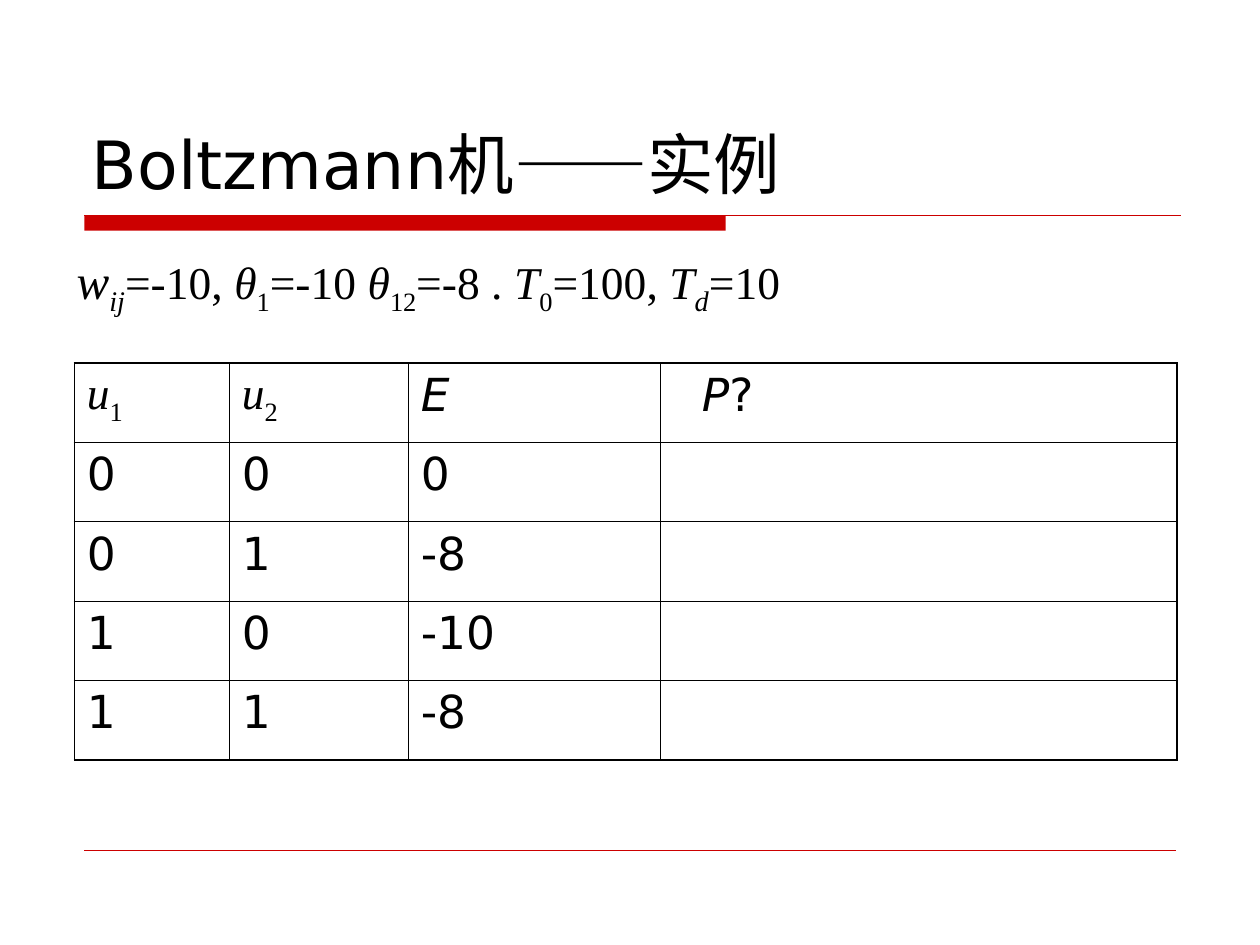
from lxml import etree
from pptx import Presentation
from pptx import util as u
from pptx.dml.color import RGBColor
from pptx.enum import shapes, text
from pptx.oxml.ns import qn

SANS, SERIF = "DejaVu Sans", "Times New Roman"
BLACK, RED = "000000", "CC0000"


def color(value):
    return RGBColor.from_string(value)


def add_runs(p, parts, font, size):
    """Add (text, style[, size]) parts; style holds "i" for italic and "_" for subscript."""
    for content, style, *own_size in parts:
        r = p.add_run()
        r.text = content
        r.font.name = font
        r.font.size = u.Pt(own_size[0] if own_size else size)
        r.font.italic = "i" in style
        r.font.color.rgb = color(BLACK)
        if "_" in style:
            r._r.get_or_add_rPr().set("baseline", "-25000")


def add_text(s, left, top, width, height, parts, font, size, anchor):
    box = s.shapes.add_textbox(u.Inches(left), u.Inches(top),
                               u.Inches(width), u.Inches(height))
    tf = box.text_frame
    tf.word_wrap = True
    tf.vertical_anchor = anchor
    add_runs(tf.paragraphs[0], parts, font, size)


def add_rule(s, left, top, width, weight):
    line = s.shapes.add_connector(
        shapes.MSO_CONNECTOR.STRAIGHT, u.Inches(left), u.Inches(top),
        u.Inches(left + width), u.Inches(top))
    line.line.color.rgb = color(RED)
    line.line.width = u.Pt(weight)
    etree.SubElement(line._element.spPr, qn("a:effectLst"))


def add_title_rule(s, left, top, width, bar_width, bar_height):
    bar = s.shapes.add_shape(
        shapes.MSO_SHAPE.RECTANGLE, u.Inches(left), u.Inches(top),
        u.Inches(bar_width), u.Inches(bar_height))
    bar.shadow.inherit = False
    bar.fill.solid()
    bar.fill.fore_color.rgb = color(RED)
    bar.line.fill.background()
    add_rule(s, left, top, width, 0.75)


def set_borders(cell, weights):
    tcPr = cell._tc.get_or_add_tcPr()
    for side, weight in weights.items():
        ln = etree.SubElement(tcPr, qn(f"a:ln{side}"), w=str(u.Pt(weight)))
        fill = etree.SubElement(ln, qn("a:solidFill"))
        etree.SubElement(fill, qn("a:srgbClr"), val=BLACK)


def add_state_table(s, left, top, col_widths, row_height, header, states):
    rows, cols = len(states) + 1, len(col_widths)
    table = s.shapes.add_table(
        rows, cols, u.Inches(left), u.Inches(top),
        u.Inches(sum(col_widths)), u.Inches(row_height * rows)).table
    for column, width in zip(table.columns, col_widths):
        column.width = u.Inches(width)
    for row in table.rows:
        row.height = u.Inches(row_height)

    body = [[(SANS, [(value, "")]) for value in state] for state in states]
    for i, row in enumerate([header] + body):
        for j, (font, parts) in enumerate(row):
            add_runs(table.cell(i, j).text_frame.paragraphs[0], parts, font, 26)

    inner, outer = 0.45, 1.08
    for i in range(rows):
        for j in range(cols):
            cell = table.cell(i, j)
            set_borders(cell, {
                "L": outer if j == 0 else inner,
                "R": outer if j == cols - 1 else inner,
                "T": outer if i == 0 else inner,
                "B": outer if i == rows - 1 else inner})
            cell.fill.background()
    # The probability heading is indented within its cell
    table.cell(0, cols - 1).margin_left = u.Inches(0.33)


def main():
    prs = Presentation()
    prs.slide_width, prs.slide_height = u.Inches(10), u.Inches(7.5)
    s = prs.slides.add_slide(prs.slide_layouts[6])

    add_title_rule(s, 0.67, 1.71, 8.7, 5.09, 0.12)
    add_rule(s, 0.67, 6.75, 8.66, 0.25)
    add_text(s, 0.63, 0.33, 8.75, 1.33, [("Boltzmann机——实例", "")],
             SANS, 38, text.MSO_ANCHOR.BOTTOM)

    header = [(SERIF, [("u", "i"), ("1", "_")]),
              (SERIF, [("u", "i"), ("2", "_")]),
              (SANS, [("E", "i")]),
              (SANS, [("P", "i"), ("?", "")])]
    states = [("0", "0", "0"), ("0", "1", "-8"),
              ("1", "0", "-10"), ("1", "1", "-8")]
    add_state_table(s, 0.59, 2.88, [1.23, 1.42, 2, 4.1], 0.63, header, states)

    parameters = [
        ("w", "i", 28), ("ij", "i_", 28), ("=-10, ", ""),
        ("θ", "i"), ("1", "_"), ("=-10 ", ""),
        ("θ", "i"), ("12", "_"), ("=-8 . ", ""),
        ("T", "i"), ("0", "_"), ("=100, ", ""),
        ("T", "i"), ("d", "i_", 28), ("=10", "")]
    add_text(s, 0.51, 1.94, 7.01, 0.63, parameters, SERIF, 26,
             text.MSO_ANCHOR.TOP)

    prs.save("out.pptx")


if __name__ == "__main__":
    main()
